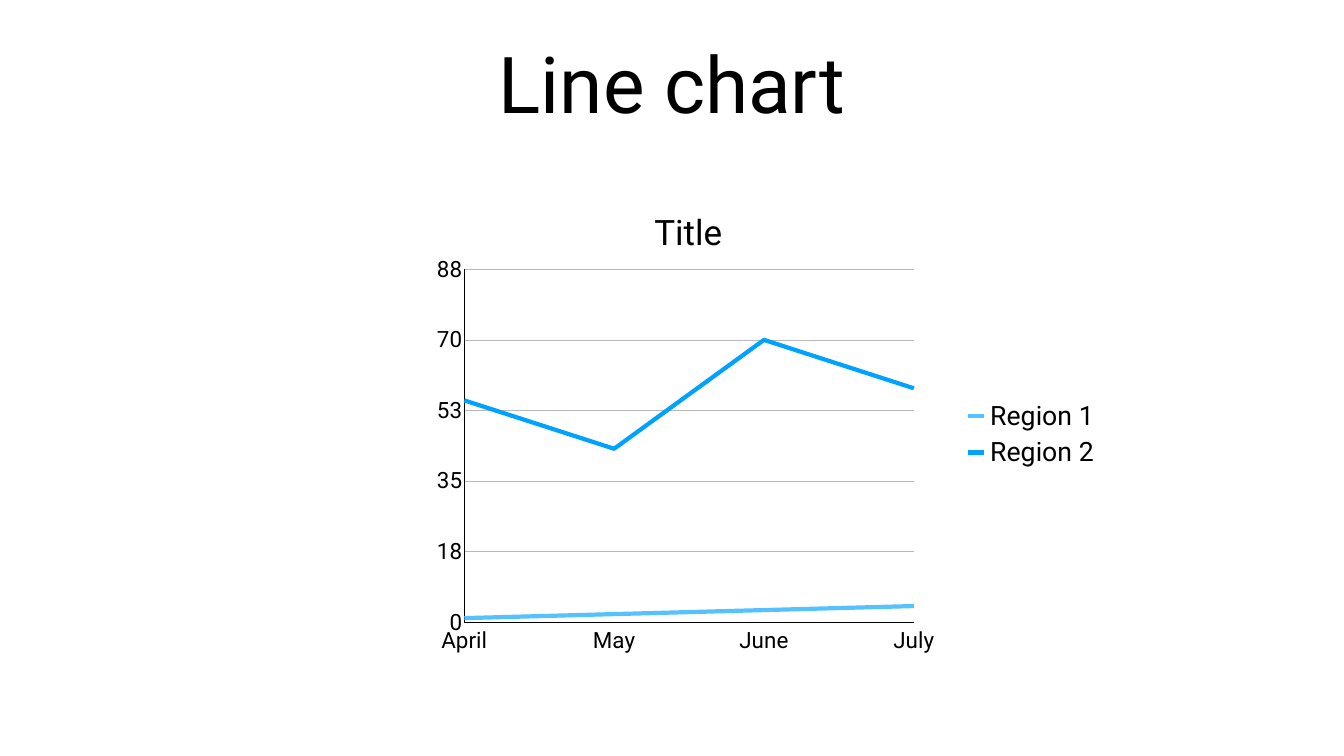
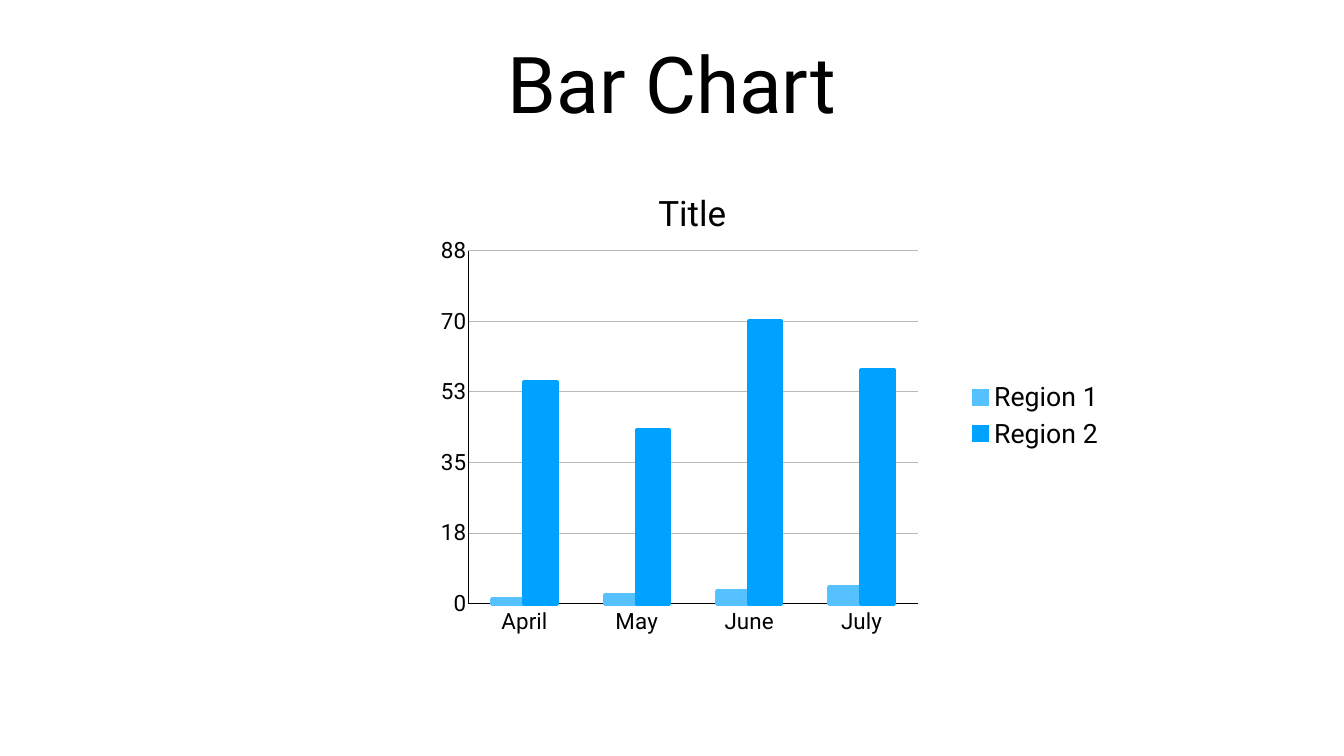
from dataclasses import dataclass

from pptx import Presentation
from pptx.chart.data import CategoryChartData
from pptx.dml.color import RGBColor
from pptx.enum.chart import XL_CHART_TYPE, XL_LEGEND_POSITION, XL_TICK_LABEL_POSITION, XL_TICK_MARK
from pptx.enum.text import MSO_ANCHOR, MSO_AUTO_SIZE, PP_ALIGN
from pptx.oxml import parse_xml
from pptx.oxml.ns import nsdecls, qn
from pptx.util import Cm, Pt

LINE = XL_CHART_TYPE.LINE
COLUMN = XL_CHART_TYPE.COLUMN_CLUSTERED
LEGEND_RIGHT = XL_LEGEND_POSITION.RIGHT
LABELS_LOW = XL_TICK_LABEL_POSITION.LOW
NO_TICK = XL_TICK_MARK.NONE
MIDDLE = MSO_ANCHOR.MIDDLE
NO_AUTOFIT = MSO_AUTO_SIZE.NONE
CENTER = PP_ALIGN.CENTER

TITLE_ONLY = 5
MONTHS = ["April", "May", "June", "July"]
REGIONS = {"Region 1": [1, 2, 3, 4], "Region 2": [55, 43, 70, 58]}
AXIS_STEP = 17.5
AXIS_STEPS = 5
PLOT_LAYOUT = {"x": 0.062, "y": 0.144, "w": 0.656, "h": 0.761}
CHART_TITLE_LAYOUT = {"x": 0.33, "y": 0}


@dataclass(frozen=True)
class Theme:
    font: str = "Roboto"
    text: RGBColor = RGBColor.from_string("000000")
    background: RGBColor = RGBColor.from_string("FFFFFF")
    grid: RGBColor = RGBColor.from_string("B8B8B8")
    series: tuple = (RGBColor.from_string("56C1FF"), RGBColor.from_string("00A2FF"))
    title_size: int = 112
    chart_title_size: int = 50
    legend_size: int = 38
    axis_size: int = 32
    chart_size: int = 10
    thin_line: int = 1
    series_line: int = 6


def set_layout(element, index, values, inner=False):
    for layout in element.findall(qn("c:layout")):
        element.remove(layout)
    target = '<c:layoutTarget val="inner"/>' if inner else ""
    modes = "".join(f'<c:{key}Mode val="edge"/>' for key in values if key in "xy")
    sizes = "".join(f'<c:{key} val="{value}"/>' for key, value in values.items())
    element.insert(index, parse_xml(
        f'<c:layout {nsdecls("c")}><c:manualLayout>{target}{modes}{sizes}'
        '</c:manualLayout></c:layout>'))


def cross_at_categories(value_axis):
    axis = value_axis._element
    for crossing in axis.findall(qn("c:crossBetween")):
        axis.remove(crossing)
    axis.find(qn("c:crosses")).addnext(
        parse_xml(f'<c:crossBetween {nsdecls("c")} val="midCat"/>'))


class ChartDeck:
    def __init__(self, presentation, theme):
        self.presentation = presentation
        self.theme = theme
        self.slide = None

    def style_font(self, font, size):
        font.name = self.theme.font
        font.size = Pt(size)
        font.bold = False
        font.color.rgb = self.theme.text

    def style_line(self, line, color, width):
        line.color.rgb = color
        line.width = Pt(width)

    def add_slide(self, text):
        layout = self.presentation.slide_layouts[TITLE_ONLY]
        self.slide = self.presentation.slides.add_slide(layout)
        fill = self.slide.background.fill
        fill.solid()
        fill.fore_color.rgb = self.theme.background
        title = self.slide.shapes.title
        title.left, title.top = Cm(4.7), Cm(0.99)
        title.width, title.height = Cm(58.34), Cm(6.35)
        frame = title.text_frame
        frame.text = text
        frame.word_wrap = True
        frame.auto_size = NO_AUTOFIT
        frame.vertical_anchor = MIDDLE
        frame.margin_left = frame.margin_right = Cm(0.15)
        frame.margin_top = frame.margin_bottom = Cm(0.15)
        paragraph = frame.paragraphs[0]
        paragraph.alignment = CENTER
        self.style_font(paragraph.runs[0].font, self.theme.title_size)

    def add_region_chart(self, kind, left, top):
        data = CategoryChartData()
        data.categories = MONTHS
        for name, values in REGIONS.items():
            data.add_series(name, values)
        chart = self.slide.shapes.add_chart(
            kind, left, top, Cm(34.54), Cm(23.37), data).chart
        self.style_font(chart.font, self.theme.chart_size)
        self.style_chart_title(chart)
        self.style_legend(chart)
        self.style_axes(chart)
        self.style_series(chart, kind)

    def style_chart_title(self, chart):
        chart.has_title = True
        frame = chart.chart_title.text_frame
        frame.text = "Title"
        self.style_font(frame.paragraphs[0].runs[0].font, self.theme.chart_title_size)
        element = chart.chart_title.element
        set_layout(element, 1, CHART_TITLE_LAYOUT)
        element.find(qn("c:overlay")).set("val", "1")
        plot_area = element.getparent().find(qn("c:plotArea"))
        set_layout(plot_area, 0, PLOT_LAYOUT, inner=True)

    def style_legend(self, chart):
        chart.has_legend = True
        chart.legend.position = LEGEND_RIGHT
        chart.legend.include_in_layout = True
        self.style_font(chart.legend.font, self.theme.legend_size)

    def style_axes(self, chart):
        for axis in (chart.category_axis, chart.value_axis):
            axis.major_tick_mark = axis.minor_tick_mark = NO_TICK
            self.style_font(axis.tick_labels.font, self.theme.axis_size)
            self.style_line(axis.format.line, self.theme.text, self.theme.thin_line)
        chart.category_axis.tick_label_position = LABELS_LOW
        value_axis = chart.value_axis
        value_axis.minimum_scale = 0
        value_axis.maximum_scale = AXIS_STEP * AXIS_STEPS
        value_axis.major_unit = AXIS_STEP
        value_axis.tick_labels.number_format = "0"
        value_axis.tick_labels.number_format_is_linked = False
        value_axis.has_major_gridlines = True
        self.style_line(value_axis.major_gridlines.format.line,
                        self.theme.grid, self.theme.thin_line)

    def style_series(self, chart, kind):
        plot = chart.plots[0]
        plot.vary_by_categories = False
        if kind == LINE:
            cross_at_categories(chart.value_axis)
        else:
            plot.gap_width = 150
            plot.overlap = 0
        for series, color in zip(plot.series, self.theme.series):
            self.style_line(series.format.line, color, self.theme.series_line)
            if kind == LINE:
                series.smooth = False
            else:
                series.format.fill.solid()
                series.format.fill.fore_color.rgb = color


def main():
    presentation = Presentation()
    presentation.slide_width = Cm(67.74)
    presentation.slide_height = Cm(38.1)
    deck = ChartDeck(presentation, Theme())
    deck.add_slide("Line chart")
    deck.add_region_chart(LINE, Cm(21.26), Cm(10.21))
    deck.add_slide("Bar Chart")
    deck.add_region_chart(COLUMN, Cm(21.46), Cm(9.27))
    presentation.save("out.pptx")


if __name__ == "__main__":
    main()
